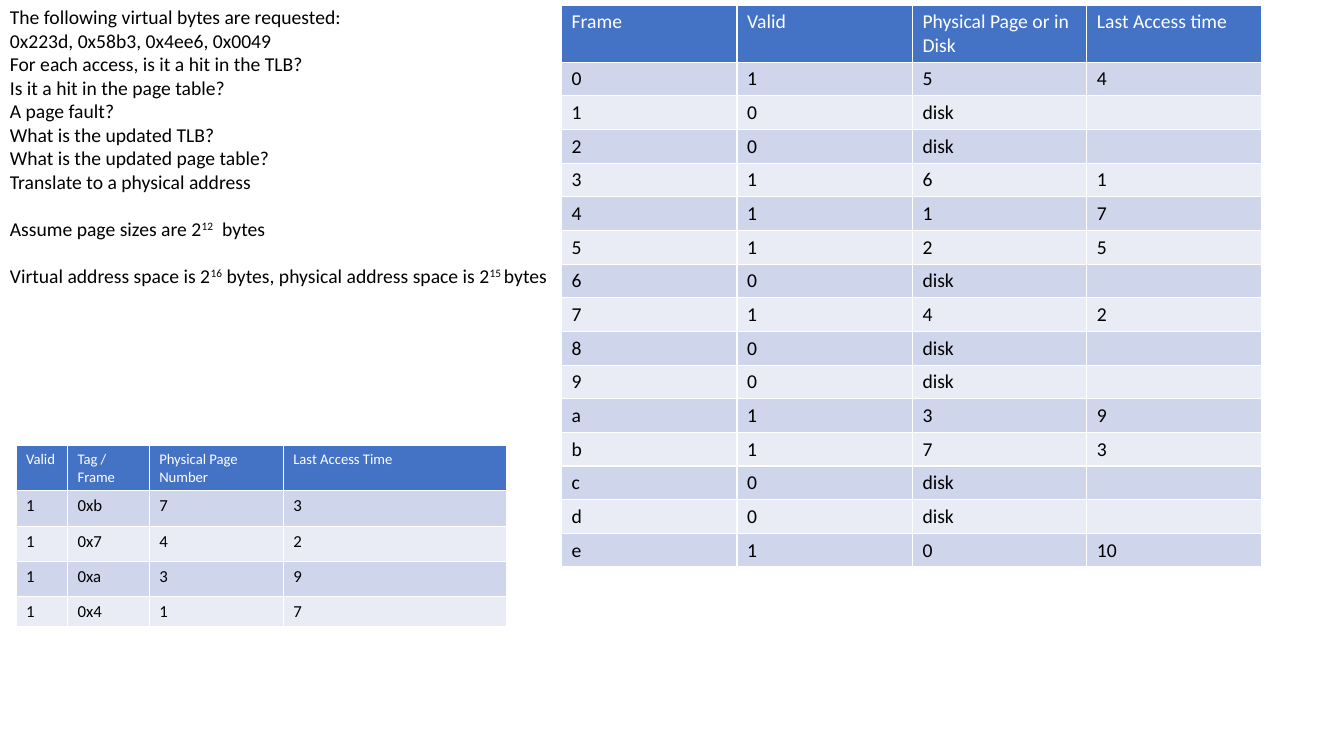
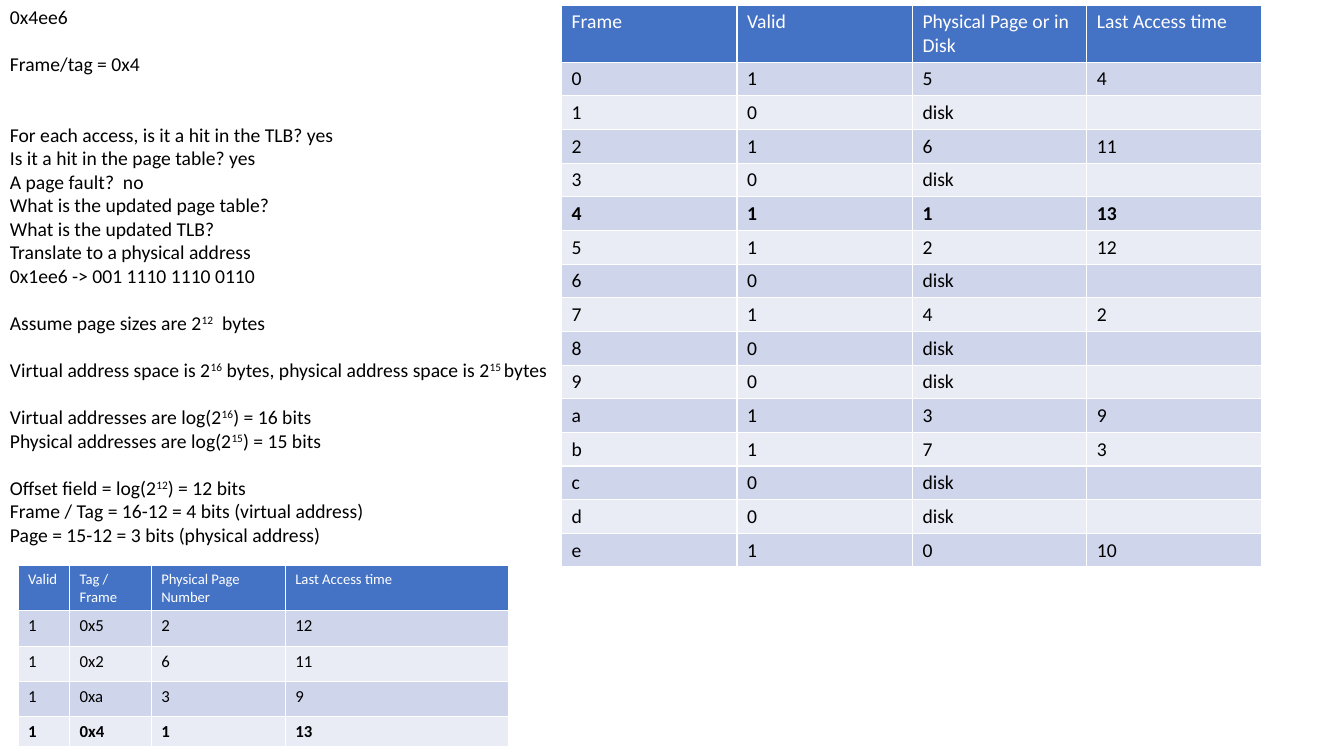
from lxml import etree
from pptx import Presentation
from pptx.dml.color import RGBColor
from pptx.enum.dml import MSO_THEME_COLOR
from pptx.enum.text import MSO_AUTO_SIZE
from pptx.oxml.ns import qn
from pptx.util import Inches, Pt

GROW = MSO_AUTO_SIZE.SHAPE_TO_FIT_TEXT
LIGHT = MSO_THEME_COLOR.BACKGROUND_1

BLACK = RGBColor(0x00, 0x00, 0x00)
WHITE = RGBColor(0xFF, 0xFF, 0xFF)
BLUE = RGBColor(0x44, 0x72, 0xC4)
BANDS = (RGBColor(0xCF, 0xD5, 0xEA), RGBColor(0xE9, 0xEB, 0xF5))

BODY = {"name": "Calibri", "size": Pt(14), "bold": False}
LINE = 16.8

PAGE = {
    "head": ("Frame", "Valid", "Physical Page or in Disk", "Last Access time"),
    "cols": (1.74, 1.74, 1.73, 1.73),
    "rows": (0.56,) + (0.33,) * 15,
    "sizes": (14, 14),
}
TLB = {
    "head": ("Valid", "Tag / Frame", "Physical Page Number"),
    "cols": (0.51, 0.81, 1.33, 2.22),
    "rows": (0.45, 0.35, 0.35, 0.35, 0.3),
    "sizes": (10.5, 12),
}

FRAMES = "0123456789abcde"
KEPT = {
    "0": ("5", "4"), "7": ("4", "2"), "a": ("3", "9"),
    "b": ("7", "3"), "e": ("0", "10"),
}
FIRST = {**KEPT, "3": ("6", "1"), "4": ("1", "7"), "5": ("2", "5")}
LATER = {**KEPT, "2": ("6", "11"), "4": ("1", "13"), "5": ("2", "12")}

SPACE = (
    (1, "Assume page sizes are 2^12^  bytes"),
    (1, "Virtual address space is 2^16^ bytes, "
        "physical address space is 2^15 ^bytes"),
)
ASK = (
    (0, "The following virtual bytes are requested:"),
    (0, "0x223d, 0x58b3, 0x4ee6, 0x0049"),
    (0, "For each access, is it a hit in the TLB?"),
    (0, "Is it a hit in the page table?"),
    (0, "A page fault?"),
    (0, "What is the updated TLB?"),
    (0, "What is the updated page table?"),
    (0, "Translate to a physical address"),
) + SPACE
SOLVE = (
    (0, "0x4ee6"),
    (1, "Frame/tag = 0x4"),
    (2, "For each access, is it a hit in the TLB? yes"),
    (0, "Is it a hit in the page table? yes"),
    (0, "A page fault?  no"),
    (0, "What is the updated page table?"),
    (0, "What is the updated TLB?"),
    (0, "Translate to a physical address"),
    (0, "0x1ee6 -> 001 1110 1110 0110"),
) + SPACE + (
    (1, "Virtual addresses are log(2^16^) = 16 bits"),
    (0, "Physical addresses are log(2^15^) = 15 bits"),
    (1, "Offset field = log(2^12^) = 12 bits"),
    (0, "Frame / Tag = 16-12 = 4 bits (virtual address)"),
    (0, "Page = 15-12 = 3 bits (physical address)"),
)

SLIDES = (
    {"notes": ASK, "high": 3.16, "pages": FIRST, "tags": "b7a4",
     "at": (0.16, 4.42), "time": "Last Access Time", "hot": None},
    {"notes": SOLVE, "high": 5.76, "pages": LATER, "tags": "52a4",
     "at": (0.18, 5.61), "time": "Last Access time", "hot": "4"},
)


def style(font, color, **extra):
    for key, value in {**BODY, **extra}.items():
        setattr(font, key, value)
    font.color.rgb = color


def add_notes(slide, lines, high):
    box = slide.shapes.add_textbox(0, 0, Inches(5.57), Inches(high))
    frame = box.text_frame
    frame.word_wrap = True
    frame.auto_size = GROW
    for num, (gap, text) in enumerate(lines):
        para = frame.add_paragraph() if num else frame.paragraphs[0]
        if gap:
            para.space_before = Pt(gap * LINE)
        for part, piece in enumerate(text.split("^")):
            run = para.add_run()
            run.text = piece
            style(run.font, BLACK)
            if part % 2:
                run._r.get_or_add_rPr().set("baseline", "30000")


def add_edges(cell):
    props = cell._tc.get_or_add_tcPr()
    for side in ("lnL", "lnR", "lnT", "lnB"):
        line = etree.SubElement(props, qn(f"a:{side}"), w=str(Pt(1)))
        fill = etree.SubElement(line, qn("a:solidFill"))
        etree.SubElement(fill, qn("a:srgbClr"), val=str(WHITE))


def fill_cell(cell, text, back, color, size, bold):
    add_edges(cell)
    cell.fill.solid()
    cell.fill.fore_color.rgb = back
    para = cell.text_frame.paragraphs[0]
    if text:
        run = para.add_run()
        run.text = text
        style(run.font, color, size=Pt(size), bold=bold)
    else:
        para._p.get_or_add_endParaRPr().set("sz", str(size * 100))


def add_grid(slide, left, top, kind, head, rows, hot):
    cols, highs = kind["cols"], kind["rows"]
    table = slide.shapes.add_table(
        len(highs), len(cols), Inches(left), Inches(top),
        Inches(sum(cols)), Inches(sum(highs))).table
    for col, wide in zip(table.columns, cols):
        col.width = Inches(wide)
    for row, high in zip(table.rows, highs):
        row.height = Inches(high)
    big, small = kind["sizes"]
    for num, texts in enumerate([head, *rows]):
        if num:
            look = (BANDS[(num - 1) % 2], BLACK, small, num - 1 == hot)
        else:
            look = (BLUE, WHITE, big, False)
        for col, text in enumerate(texts):
            fill_cell(table.cell(num, col), text, *look)


def page_row(frame, pages):
    if frame in pages:
        return (frame, "1", *pages[frame])
    return (frame, "0", "disk", "")


def build(deck, info):
    slide = deck.slides.add_slide(deck.slide_layouts[6])
    pages, tags, hot = info["pages"], info["tags"], info["hot"]
    add_notes(slide, info["notes"], info["high"])
    add_grid(slide, *info["at"], TLB, (*TLB["head"], info["time"]),
             [("1", f"0x{tag}", *pages[tag]) for tag in tags],
             tags.index(hot) if hot else None)
    add_grid(slide, 5.57, 0.05, PAGE, PAGE["head"],
             [page_row(frame, pages) for frame in FRAMES],
             FRAMES.index(hot) if hot else None)


def main():
    deck = Presentation()
    deck.slide_width = Inches(13.33)
    deck.slide_height = Inches(7.5)
    back = deck.slide_master.background.fill
    back.solid()
    back.fore_color.theme_color = LIGHT
    for info in SLIDES:
        build(deck, info)
    deck.save("out.pptx")


if __name__ == "__main__":
    main()
